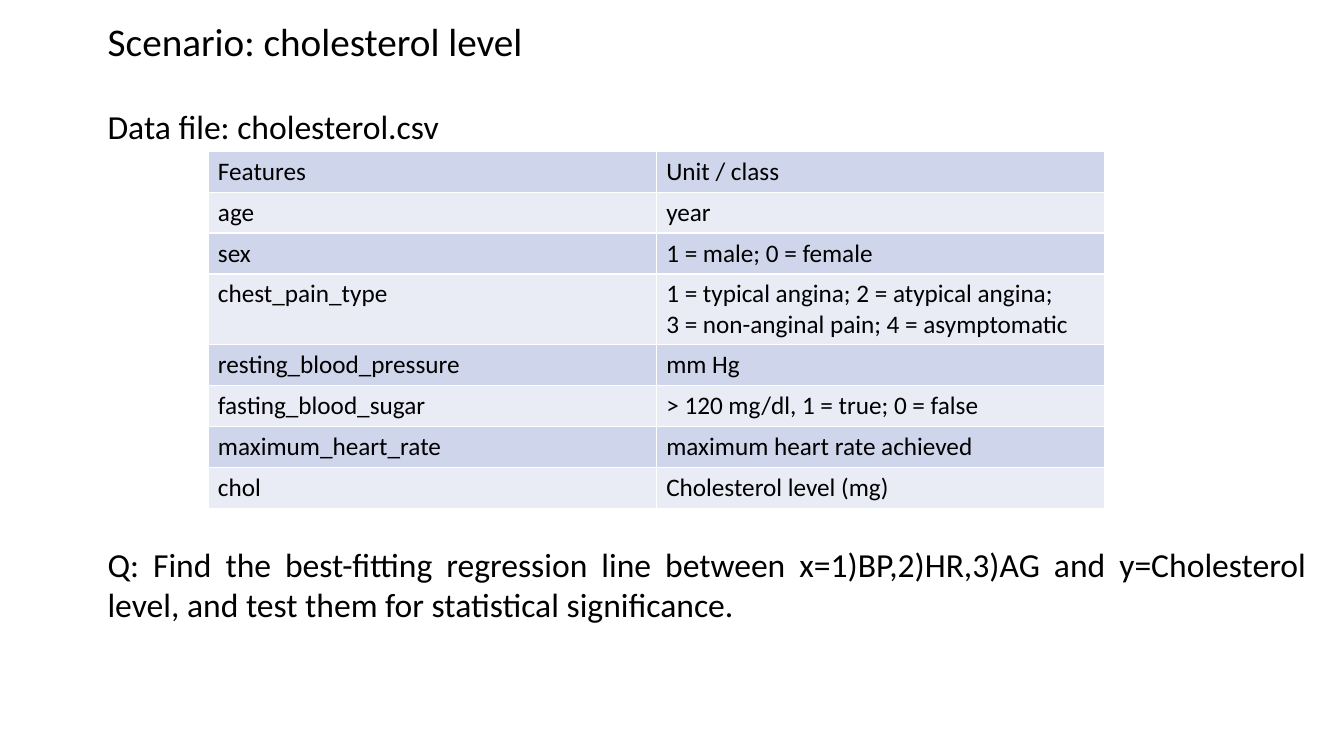
from lxml.etree import SubElement
from pptx import Presentation
from pptx.dml.color import RGBColor
from pptx.enum.text import MSO_ANCHOR, MSO_AUTO_SIZE, PP_ALIGN
from pptx.oxml.ns import qn
from pptx.util import Pt

PX = 9525  # EMU per px, 96 px to the inch
FONT = "Calibri"
COLORS = {"text": "000000", "border": "FFFFFF", "odd": "CFD5EA", "even": "E9EBF5"}
LEFT = 93
ROW_HEIGHT = 39

FEATURES = [
    ("Features", "Unit / class"),
    ("age", "year"),
    ("sex", "1 = male; 0 = female"),
    ("chest_pain_type",
     "1 = typical angina; 2 = atypical angina;\n3 = non-anginal pain; 4 = asymptomatic"),
    ("resting_blood_pressure", "mm Hg"),
    ("fasting_blood_sugar", "> 120 mg/dl, 1 = true; 0 = false"),
    ("maximum_heart_rate", "maximum heart rate achieved"),
    ("chol", "Cholesterol level (mg)"),
]


def emu(box):
    return [length * PX for length in box]


def write(frame, text, size, align=PP_ALIGN.LEFT):
    frame.text = text
    for paragraph in frame.paragraphs:
        paragraph.alignment = align
        for run in paragraph.runs:
            run.font.name = FONT
            run.font.size = Pt(size)
            run.font.color.rgb = RGBColor.from_string(COLORS["text"])


def fit_frame(frame):
    frame.word_wrap = True
    frame.vertical_anchor = MSO_ANCHOR.TOP
    frame.auto_size = MSO_AUTO_SIZE.SHAPE_TO_FIT_TEXT


def add_heading(slide, box, text):
    heading = slide.shapes.title
    heading.left, heading.top, heading.width, heading.height = emu(box)
    write(heading.text_frame, text, 28)
    fit_frame(heading.text_frame)


def add_statement(slide, box, text, align=PP_ALIGN.LEFT):
    frame = slide.shapes.add_textbox(*emu(box)).text_frame
    write(frame, text, 24, align)
    fit_frame(frame)


def add_borders(cell):
    properties = cell._tc.get_or_add_tcPr()
    for side in ("a:lnL", "a:lnR", "a:lnT", "a:lnB"):
        line = SubElement(properties, qn(side), w=str(Pt(1)))
        fill = SubElement(line, qn("a:solidFill"))
        SubElement(fill, qn("a:srgbClr"), val=COLORS["border"])


def add_features(slide, box, rows):
    features = slide.shapes.add_table(len(rows), len(rows[0]), *emu(box)).table
    features.first_row = features.horz_banding = False
    for r, row in enumerate(rows):
        features.rows[r].height = ROW_HEIGHT * PX
        for c, text in enumerate(row):
            cell = features.cell(r, c)
            write(cell.text_frame, text, 18)
            add_borders(cell)
            cell.fill.solid()
            band = COLORS["even" if r % 2 else "odd"]
            cell.fill.fore_color.rgb = RGBColor.from_string(band)


def main():
    deck = Presentation()
    deck.slide_width, deck.slide_height = emu((1280, 720))
    slide = deck.slides.add_slide(deck.slide_layouts.get_by_name("Title Only"))

    # Scenario and its data file
    add_heading(slide, (LEFT, 12, 564, 55), "Scenario: cholesterol level")
    add_statement(slide, (LEFT, 96, 1062, 48), "Data file: cholesterol.csv")

    # Features of the data set
    add_features(slide, (198, 144, 854, ROW_HEIGHT * len(FEATURES)), FEATURES)

    # Question
    add_statement(
        slide, (LEFT, 513, 1161, 87),
        "Q: Find the best-fitting regression line between x=1)BP,2)HR,3)AG and "
        "y=Cholesterol level, and test them for statistical significance.",
        PP_ALIGN.JUSTIFY)

    deck.save("out.pptx")


if __name__ == "__main__":
    main()
